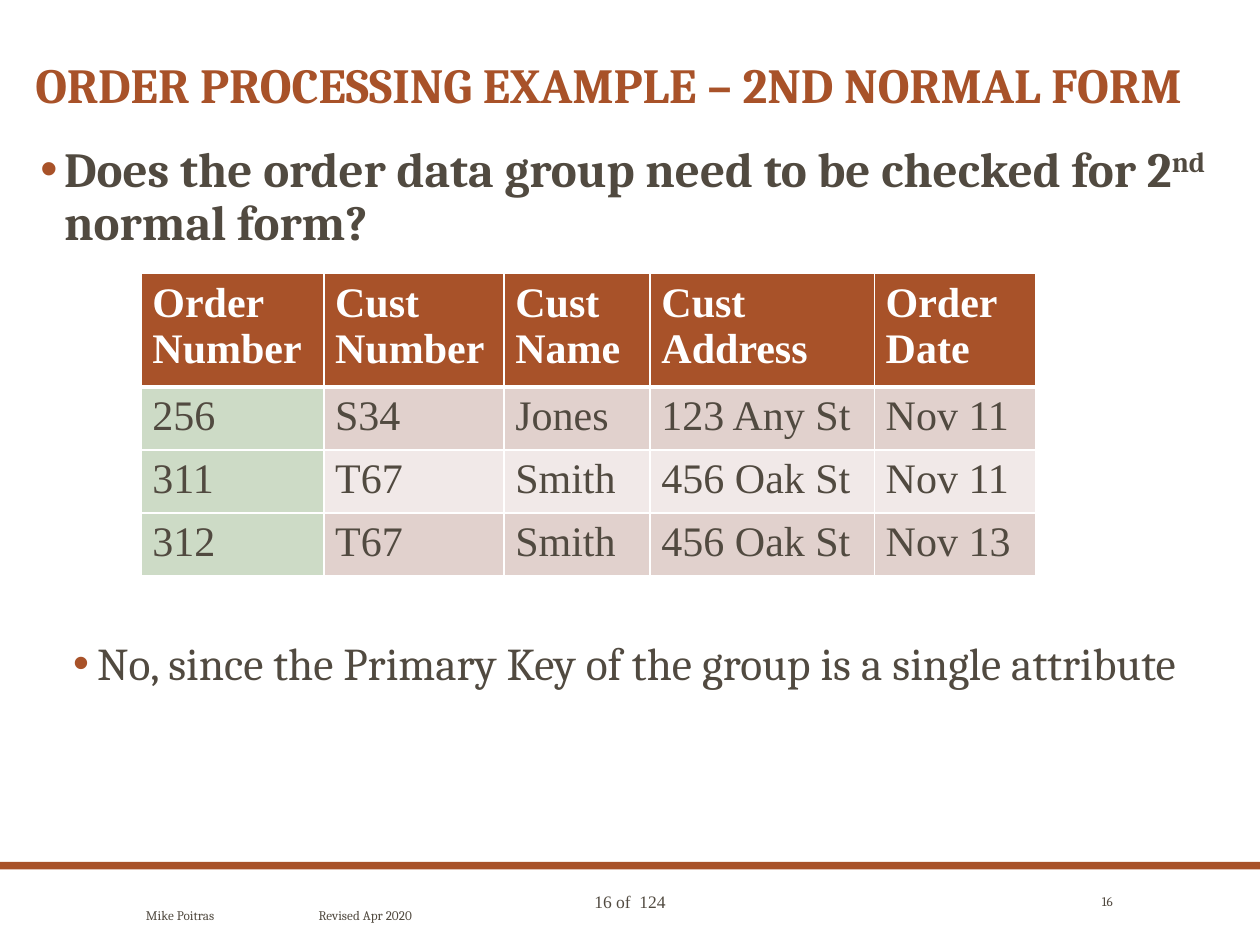
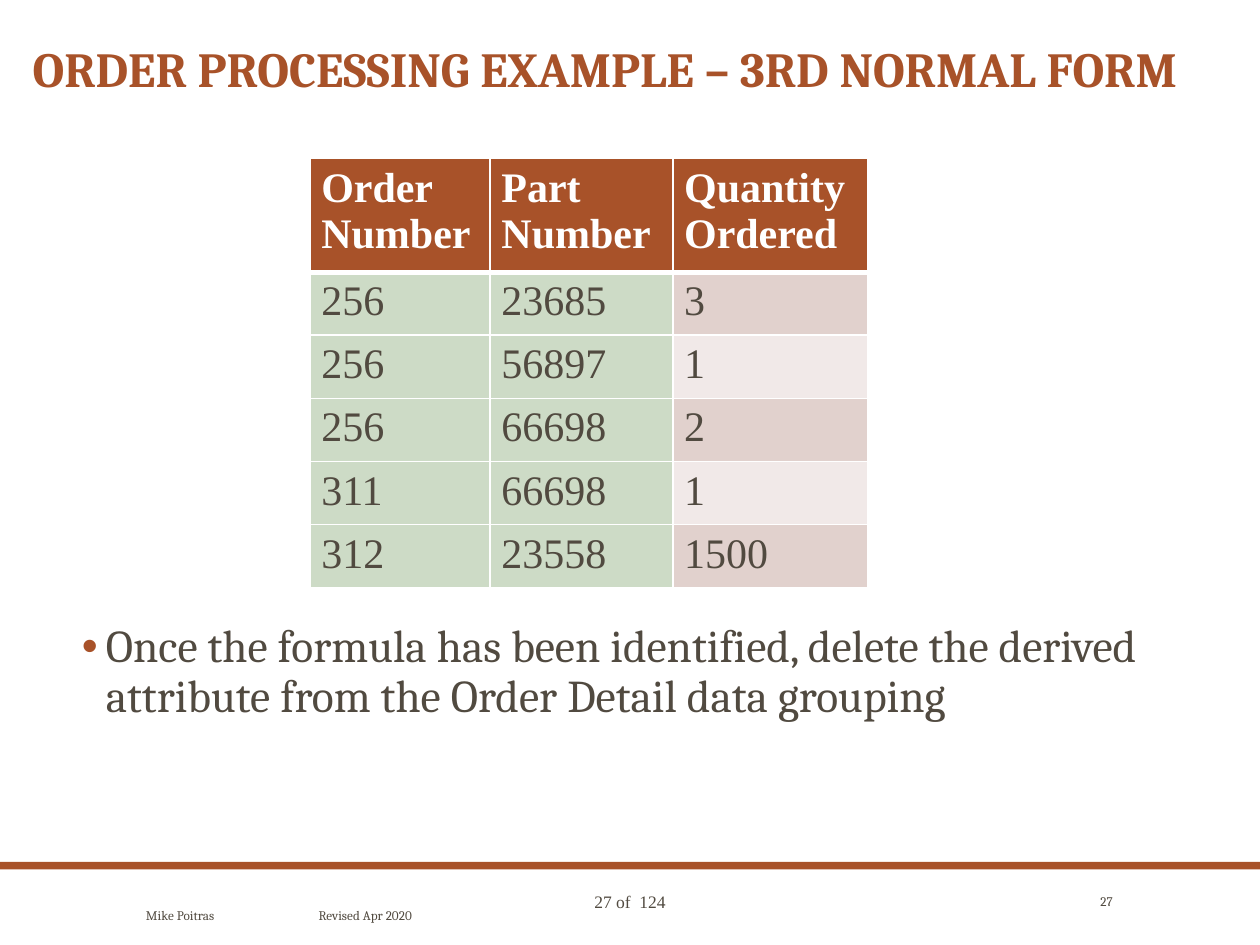
"""Build two slides on normal forms in an order processing example."""
import lxml.etree
import pptx
import pptx.dml.color
import pptx.enum.shapes
import pptx.enum.text
import pptx.oxml.ns
import pptx.util

Inches = pptx.util.Inches
Pt = pptx.util.Pt
ALIGN = pptx.enum.text.PP_ALIGN
ANCHOR = pptx.enum.text.MSO_ANCHOR


def color(hex_string):
    """Return the colour for a hex string."""
    return pptx.dml.color.RGBColor.from_string(hex_string)


def add_element(parent, tag, **attributes):
    """Append a drawing element to its parent and return it."""
    element = lxml.etree.SubElement(parent, pptx.oxml.ns.qn(tag))
    for name, value in attributes.items():
        element.set(name, str(value))
    return element


class Deck:
    """Hold the shared style and the current slide."""

    RUST = "A85229"
    TEXT = "514A40"
    WHITE = "FFFFFF"
    KEY = "CDDBC6"
    STRIPES = ("E1D1CD", "F1E9E8")
    SERIF = "Cambria"
    TABLE_FONT = "Times New Roman"
    PAGE_COUNT = 124

    def __init__(self):
        """Start an empty presentation."""
        self.presentation = pptx.Presentation()
        self.presentation.slide_width = Inches(10)
        self.presentation.slide_height = Inches(7.5)
        self.slide = None

    def place(self, shape, left, top, width, height):
        """Move and size a shape, in inches."""
        shape.left, shape.top = Inches(left), Inches(top)
        shape.width, shape.height = Inches(width), Inches(height)

    def style(self, paragraph, size, font=SERIF, hex_string=TEXT, bold=False):
        """Format every run of a paragraph."""
        for run in paragraph.runs:
            run.font.name = font
            run.font.size = Pt(size)
            run.font.bold = bold
            run.font.color.rgb = color(hex_string)

    def new_slide(self, title, number, left, top, width):
        """Add a slide with its title, band and footer."""
        layout = self.presentation.slide_layouts[1]
        self.slide = self.presentation.slides.add_slide(layout)
        self.band()
        self.title(title, left, top, width)
        self.footer(number)

    def band(self):
        """Draw the band above the footer."""
        band = self.slide.shapes.add_shape(
            pptx.enum.shapes.MSO_SHAPE.RECTANGLE,
            Inches(0), Inches(6.84), Inches(10), Inches(0.06))
        band.shadow.inherit = False
        band.fill.solid()
        band.fill.fore_color.rgb = color(self.RUST)
        band.line.fill.background()

    def title(self, text, left, top, width):
        """Fill and place the title."""
        shape = self.slide.shapes.title
        self.place(shape, left, top, width, 0.55)
        frame = shape.text_frame
        frame.text = text
        frame.auto_size = pptx.enum.text.MSO_AUTO_SIZE.NONE
        frame.vertical_anchor = ANCHOR.MIDDLE
        paragraph = frame.paragraphs[0]
        paragraph.alignment = ALIGN.LEFT
        paragraph.line_spacing = 0.9
        self.style(paragraph, 28, hex_string=self.RUST, bold=True)

    def label(self, text, box, size, font=SERIF, alignment=ALIGN.LEFT,
              anchor=ANCHOR.MIDDLE, tab=None):
        """Add a one-line text box, with an optional tab stop in inches."""
        frame = self.slide.shapes.add_textbox(*map(Inches, box)).text_frame
        frame.word_wrap = True
        frame.vertical_anchor = anchor
        frame.text = text
        paragraph = frame.paragraphs[0]
        paragraph.alignment = alignment
        if tab:
            tabs = add_element(paragraph._p.get_or_add_pPr(), "a:tabLst")
            add_element(tabs, "a:tab", pos=Inches(tab), algn="l")
        self.style(paragraph, size, font)

    def footer(self, number):
        """Add the author line and both page numbers."""
        self.label(f"{number} of  {self.PAGE_COUNT}", (3.52, 7.02, 2.96, 0.27),
                   10, self.TABLE_FONT, ALIGN.CENTER, ANCHOR.TOP)
        self.label("Mike Poitras\tRevised Apr 2020", (1.06, 7.02, 7.88, 0.48),
                   7.5, tab=1.37)
        self.label(str(number), (8.36, 7.02, 0.57, 0.26), 7.5,
                   alignment=ALIGN.RIGHT)

    def body(self, left, top, width, height):
        """Place the body placeholder and return its text frame."""
        shape = self.slide.placeholders[1]
        self.place(shape, left, top, width, height)
        frame = shape.text_frame
        frame.auto_size = pptx.enum.text.MSO_AUTO_SIZE.NONE
        frame.vertical_anchor = ANCHOR.TOP
        return frame

    def bullet(self, paragraph, size, bold=False, level=0, before=0):
        """Format a paragraph as a bulleted item."""
        paragraph.level = level
        properties = paragraph._p.get_or_add_pPr()
        properties.set("marL", str(Inches((0.23, 0.49)[level])))
        properties.set("indent", str(Inches(-0.19)))
        bullet_color = add_element(properties, "a:buClr")
        add_element(bullet_color, "a:srgbClr", val=self.RUST)
        add_element(properties, "a:buChar", char="•")
        paragraph.line_spacing = 0.9
        paragraph.space_before = Pt(before)
        paragraph.space_after = Pt((12, 6)[level])
        self.style(paragraph, size, bold=bold)

    def borders(self, cell, top, bottom):
        """Draw white cell borders, with top and bottom widths in points."""
        properties = cell._tc.get_or_add_tcPr()
        for side, width in (("L", 1), ("R", 1), ("T", top), ("B", bottom)):
            line = add_element(properties, f"a:ln{side}", w=Pt(width))
            fill = add_element(line, "a:solidFill")
            add_element(fill, "a:srgbClr", val=self.WHITE)

    def table(self, left, top, widths, rows, key_columns):
        """Add a striped table whose key columns are tinted green."""
        heights = [0.83] + [0.47] * (len(rows) - 1)
        table = self.slide.shapes.add_table(
            len(rows), len(widths), Inches(left), Inches(top),
            Inches(sum(widths)), Inches(sum(heights))).table
        for column, width in zip(table.columns, widths):
            column.width = Inches(width)
        for index, (row, height, texts) in enumerate(
                zip(table.rows, heights, rows)):
            row.height = Inches(height)
            header = index == 0
            for position, (cell, text) in enumerate(zip(row.cells, texts)):
                cell.text = text
                cell.margin_left = cell.margin_right = Inches(0.09)
                cell.margin_top = cell.margin_bottom = Inches(0.05)
                self.borders(cell, 3 if index == 1 else 1, 3 if header else 1)
                if header:
                    fill = self.RUST
                elif position < key_columns:
                    fill = self.KEY
                else:
                    fill = self.STRIPES[(index - 1) % 2]
                cell.fill.solid()
                cell.fill.fore_color.rgb = color(fill)
                for paragraph in cell.text_frame.paragraphs:
                    self.style(paragraph, 24, self.TABLE_FONT,
                               self.WHITE if header else self.TEXT, header)


def second_normal_form(deck):
    """Build the slide on second normal form."""
    deck.new_slide("ORDER PROCESSING EXAMPLE – 2ND NORMAL FORM", 16,
                   0.18, 0.42, 9.62)
    frame = deck.body(0.18, 1.1, 9.62, 5.4)
    question = frame.paragraphs[0]
    for text in ("Does the order data group need to be checked for 2", "nd",
                 " normal form?"):
        question.add_run().text = text
    deck.bullet(question, 28, bold=True)
    question.runs[1]._r.get_or_add_rPr().set("baseline", "30000")
    answer = frame.add_paragraph()
    answer.text = "No, since the Primary Key of the group is a single attribute"
    deck.bullet(answer, 26, level=1, before=211)
    deck.table(1.12, 2.17, (1.45, 1.43, 1.16, 1.78, 1.28), (
        ("Order\nNumber", "Cust Number", "Cust Name", "Cust\nAddress",
         "Order Date"),
        ("256", "S34", "Jones", "123 Any St", "Nov 11"),
        ("311", "T67", "Smith", "456 Oak St", "Nov 11"),
        ("312", "T67", "Smith", "456 Oak St", "Nov 13"),
    ), key_columns=1)


def third_normal_form(deck):
    """Build the slide on third normal form."""
    deck.new_slide("ORDER PROCESSING EXAMPLE – 3RD NORMAL FORM", 27,
                   0.16, 0.29, 9.67)
    deck.table(2.46, 1.26, (1.43, 1.45, 1.55), (
        ("Order\nNumber", "Part Number", "Quantity Ordered"),
        ("256", "23685", "3"),
        ("256", "56897", "1"),
        ("256", "66698", "2"),
        ("311", "66698", "1"),
        ("312", "23558", "1500"),
    ), key_columns=2)
    frame = deck.body(0.51, 4.9, 8.99, 1.86)
    frame.text = ("Once the formula has been identified, delete the derived "
                  "attribute from the Order Detail data grouping")
    deck.bullet(frame.paragraphs[0], 26)


def main():
    """Build and save the slides."""
    deck = Deck()
    second_normal_form(deck)
    third_normal_form(deck)
    deck.presentation.save("out.pptx")


if __name__ == "__main__":
    main()
